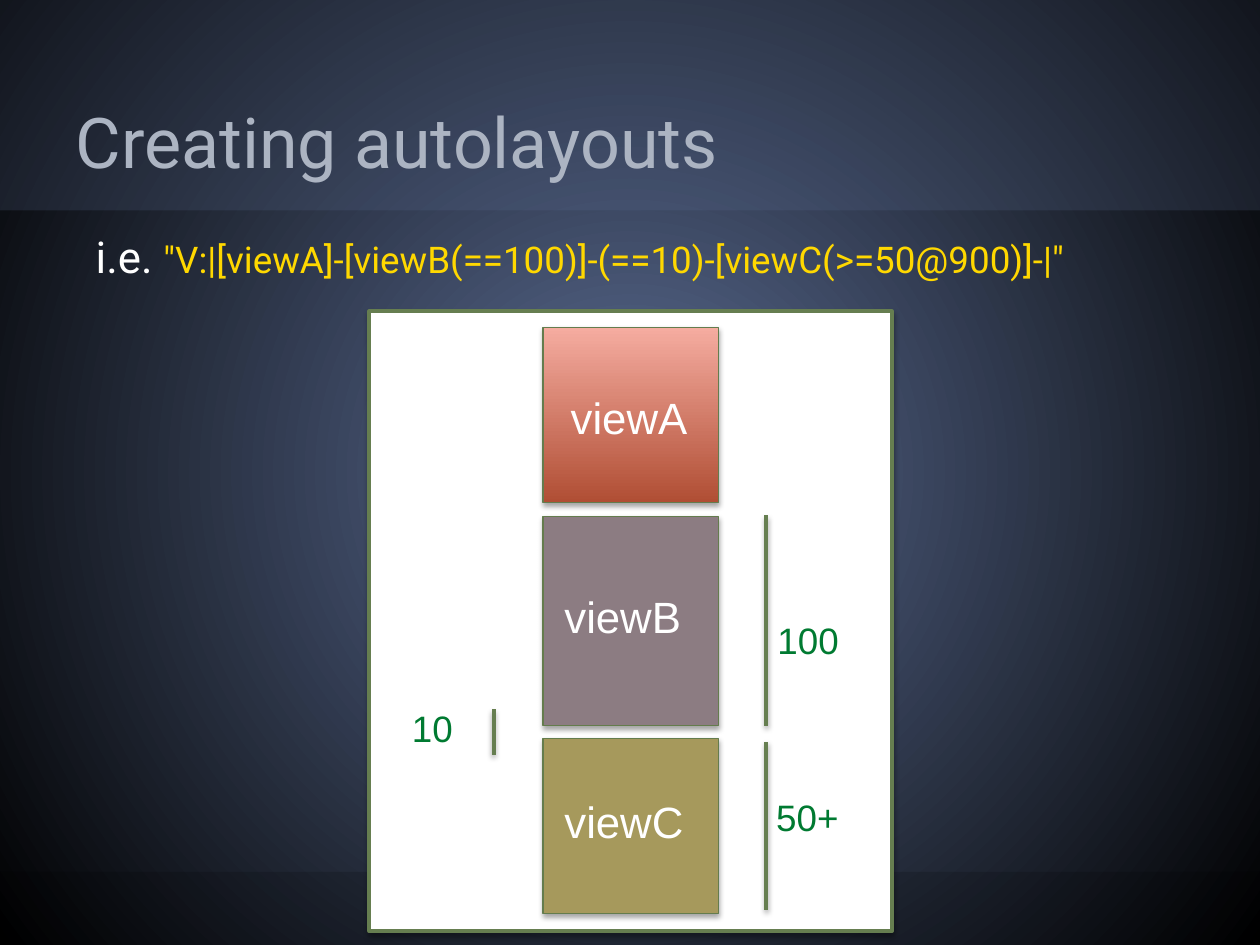
from dataclasses import dataclass

from lxml.etree import SubElement
from pptx import Presentation
from pptx.dml.color import RGBColor
from pptx.enum.shapes import MSO_CONNECTOR, MSO_SHAPE
from pptx.enum.text import MSO_ANCHOR, MSO_AUTO_SIZE, PP_ALIGN
from pptx.oxml.ns import qn
from pptx.util import Inches, Pt


@dataclass(frozen=True)
class Theme:
    glow: str = "5C6E95"
    black: str = "000000"
    white: str = "FFFFFF"
    title: str = "ACB4C2"
    code: str = "FFD800"
    frame: str = "667E50"
    box_line: str = "647C4D"
    measure: str = "007A31"
    heading_font: str = "Roboto"
    label_font: str = "Arial"
    title_size: int = 40
    large: int = 25
    small: int = 21


@dataclass(frozen=True)
class View:
    top: float
    height: float
    fill: tuple[str, ...]  # one colour, or bottom and top of a gradient


@dataclass(frozen=True)
class Label:
    text: str
    left: float
    top: float
    width: float
    height: float
    size: int
    color: str
    inset: float = 0


@dataclass(frozen=True)
class Measure:
    x: float
    bottom: float
    top: float


THEME = Theme()
VIEW_LEFT, VIEW_WIDTH = 4.31, 1.39

VIEWS = (
    View(2.6, 1.39, ("B04E34", "F5ACA0")),
    View(4.1, 1.66, ("8C7C82",)),
    View(5.86, 1.39, ("A6995C",)),
)
LABELS = (
    Label("viewA", 4.48, 3.05, 1.04, 0.49, THEME.large, THEME.white, 0.05),
    Label("viewB", 4.48, 4.68, 1.04, 0.49, THEME.large, THEME.white),
    Label("viewC", 4.48, 6.31, 1.06, 0.49, THEME.large, THEME.white),
    Label("100", 6.12, 4.85, 0.6, 0.42, THEME.small, THEME.measure, 0.05),
    Label("10", 3.27, 5.6, 0.44, 0.42, THEME.small, THEME.measure),
    Label("50+", 6.16, 6.31, 0.61, 0.42, THEME.small, THEME.measure),
)
MEASURES = (
    Measure(6.08, 5.76, 4.09),
    Measure(3.92, 5.99, 5.63),
    Measure(6.08, 7.22, 5.89),
)


def rgb(color: str) -> RGBColor:
    return RGBColor.from_string(color)


def set_gradient(fill, colors: tuple[str, ...]) -> None:
    fill.gradient()
    for stop, color, position in zip(fill.gradient_stops, colors, (0, 1)):
        stop.color.rgb = rgb(color)
        stop.position = position


def set_alpha(color_element, percent: int) -> None:
    SubElement(color_element, qn("a:alpha"), val=str(percent * 1000))


def add_shadow(shape, distance: float, percent: int) -> None:
    effects = SubElement(shape._element.spPr, qn("a:effectLst"))
    shadow = SubElement(effects, qn("a:outerShdw"), blurRad=str(Pt(3)),
                        dist=str(Pt(distance)), dir="5400000", rotWithShape="0")
    set_alpha(SubElement(shadow, qn("a:srgbClr"), val=THEME.black), percent)


def set_insets(frame, inset: float) -> None:
    frame.margin_left = frame.margin_right = Inches(inset)
    frame.margin_top = frame.margin_bottom = Inches(inset)


def add_run(paragraph, text: str, size: int, font: str, color: str) -> None:
    run = paragraph.add_run()
    run.text = text
    run.font.size = Pt(size)
    run.font.name = font
    run.font.color.rgb = rgb(color)


def paint_background(slide) -> None:
    set_gradient(slide.background.fill, (THEME.glow, THEME.black))
    gradient = next(slide._element.iter(qn("a:gradFill")))
    gradient.remove(gradient.find(qn("a:lin")))
    circle = SubElement(gradient, qn("a:path"), path="circle")
    SubElement(circle, qn("a:fillToRect"), l="50000", t="50000", r="50000", b="50000")


def add_rect(slide, left: float, top: float, width: float, height: float):
    return slide.shapes.add_shape(MSO_SHAPE.RECTANGLE, Inches(left), Inches(top),
                                  Inches(width), Inches(height))


def add_band(slide, top: float, height: float, color: str, percent: int) -> None:
    band = add_rect(slide, 0, top, 10, height)
    band.shadow.inherit = False
    band.fill.solid()
    band.fill.fore_color.rgb = rgb(color)
    set_alpha(next(band._element.spPr.iter(qn("a:srgbClr"))), percent)
    band.line.fill.background()
    # Bands lie behind the placeholders
    slide.shapes._spTree.insert(2, band._element)


def fill_placeholder(holder, box: tuple[float, ...], inset: float, anchor):
    holder.left, holder.top, holder.width, holder.height = map(Inches, box)
    frame = holder.text_frame
    frame.auto_size = MSO_AUTO_SIZE.NONE
    frame.vertical_anchor = anchor
    set_insets(frame, inset)
    paragraph = frame.paragraphs[0]
    paragraph.alignment = PP_ALIGN.LEFT
    paragraph.space_before = Pt(0)
    return paragraph


def add_panel(slide, box: tuple[float, ...], colors: tuple[str, ...],
              line: str, weight: float) -> None:
    panel = add_rect(slide, *box)
    if len(colors) > 1:
        set_gradient(panel.fill, colors)
        panel.fill.gradient_angle = 90
    else:
        panel.fill.solid()
        panel.fill.fore_color.rgb = rgb(colors[0])
    panel.line.color.rgb = rgb(line)
    panel.line.width = Pt(weight)
    add_shadow(panel, 1.8, 35)


def add_measure(slide, measure: Measure) -> None:
    bar = slide.shapes.add_connector(
        MSO_CONNECTOR.STRAIGHT, Inches(measure.x), Inches(measure.bottom),
        Inches(measure.x), Inches(measure.top))
    bar.line.color.rgb = rgb(THEME.frame)
    bar.line.width = Pt(2)
    add_shadow(bar, 1.6, 38)


def add_label(slide, label: Label) -> None:
    caption = slide.shapes.add_textbox(Inches(label.left), Inches(label.top),
                                       Inches(label.width), Inches(label.height))
    frame = caption.text_frame
    frame.word_wrap = False
    frame.auto_size = MSO_AUTO_SIZE.SHAPE_TO_FIT_TEXT
    set_insets(frame, label.inset)
    add_run(frame.paragraphs[0], label.text, label.size, THEME.label_font, label.color)


def main() -> None:
    deck = Presentation()
    deck.slide_width, deck.slide_height = Inches(10), Inches(7.5)
    slide = deck.slides.add_slide(deck.slide_layouts[1])

    # Backdrop
    paint_background(slide)
    add_band(slide, 6.92, 0.58, THEME.black, 15)
    add_band(slide, 0, 1.67, THEME.glow, 20)

    # Title and format string
    title = fill_placeholder(slide.shapes.title, (0.5, 0.11, 9, 1.44), 0.1,
                             MSO_ANCHOR.BOTTOM)
    add_run(title, "Creating autolayouts", THEME.title_size, THEME.heading_font,
            THEME.title)
    example = fill_placeholder(slide.placeholders[1], (0.76, 1.82, 8.49, 4.95), 0,
                               MSO_ANCHOR.TOP)
    properties = example._p.get_or_add_pPr()
    properties.set("marL", "0")
    properties.set("indent", "0")
    SubElement(properties, qn("a:buNone"))
    add_run(example, "i.e. ", THEME.large, THEME.heading_font, THEME.white)
    add_run(example, '"V:|[viewA]-[viewB(==100)]-(==10)-[viewC(>=50@900)]-|"',
            THEME.small, THEME.heading_font, THEME.code)

    # Layout diagram
    add_panel(slide, (2.93, 2.47, 4.15, 4.92), (THEME.white,), THEME.frame, 2)
    for view in VIEWS:
        add_panel(slide, (VIEW_LEFT, view.top, VIEW_WIDTH, view.height), view.fill,
                  THEME.box_line, 0.75)
    for measure in MEASURES:
        add_measure(slide, measure)
    for label in LABELS:
        add_label(slide, label)

    deck.save("out.pptx")


if __name__ == "__main__":
    main()
